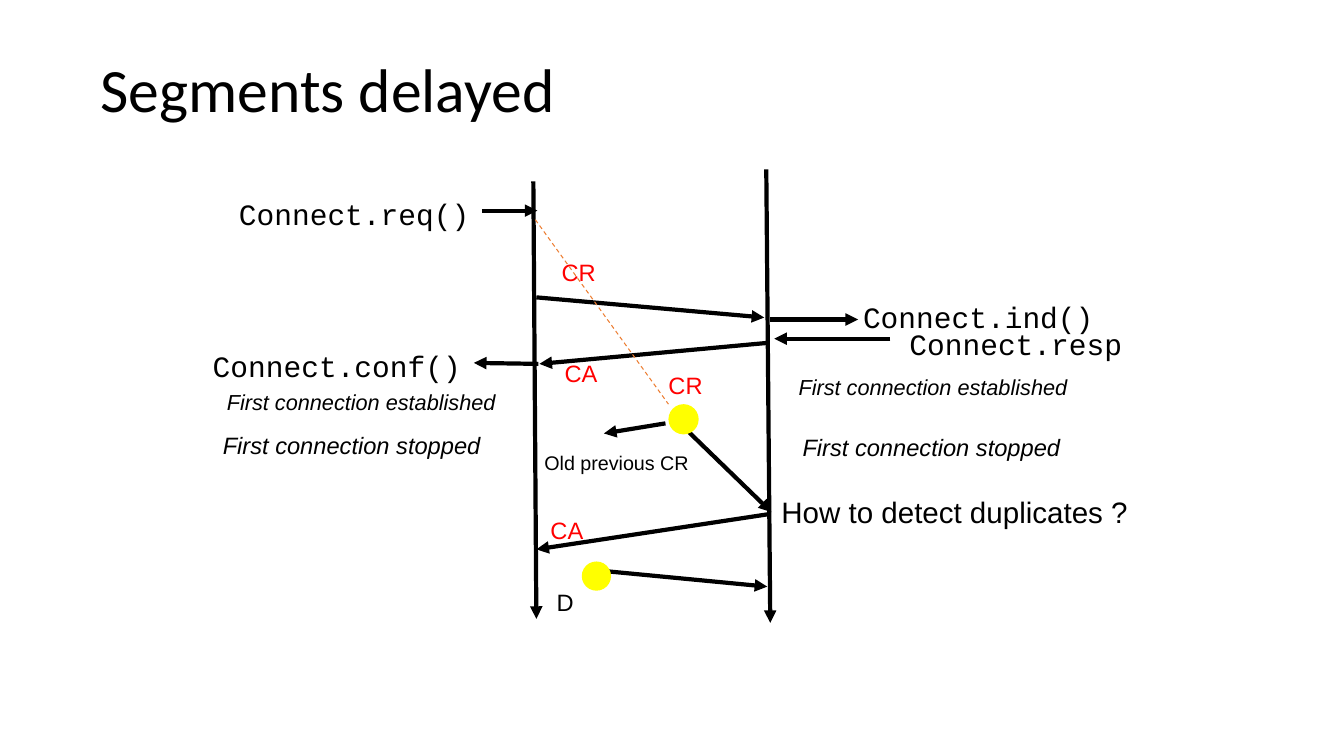
from pptx import Presentation
from pptx.dml.color import RGBColor
from pptx.enum.dml import MSO_LINE
from pptx.enum.shapes import MSO_CONNECTOR, MSO_SHAPE
from pptx.enum.text import MSO_ANCHOR
from pptx.oxml.ns import qn
from pptx.util import Inches, Pt
from lxml.etree import SubElement

BLACK = RGBColor(0x00, 0x00, 0x00)
RED = RGBColor(0xFF, 0x00, 0x00)
YELLOW = RGBColor(0xFF, 0xFF, 0x00)
ORANGE = RGBColor(0xED, 0x7D, 0x31)

# Grid of square cells: 133.3 columns by 75 rows
CELL = Inches(0.1)

deck = Presentation()
deck.slide_width, deck.slide_height = int(133.3 * CELL), 75 * CELL
page = deck.slides.add_slide(deck.slide_layouts[6])


def add_line(*ends, color=BLACK, width=3, arrow=True):
    line = page.shapes.add_connector(
        MSO_CONNECTOR.STRAIGHT, *(int(end * CELL) for end in ends))
    line.line.color.rgb = color
    line.line.width = Pt(width)
    properties = line._element.spPr
    if arrow:
        SubElement(properties.find(qn("a:ln")), qn("a:tailEnd"), type="triangle")
    SubElement(properties, qn("a:effectLst"))
    return line


def add_text(words, place, size, font="Arial", color=BLACK, italic=False,
             spacing=0.84, inset=0):
    box = page.shapes.add_textbox(*(int(length * CELL) for length in place))
    frame = box.text_frame
    frame.word_wrap = True
    frame.vertical_anchor = MSO_ANCHOR.MIDDLE
    frame.margin_left = frame.margin_right = int(inset * CELL)
    frame.margin_top = frame.margin_bottom = int(inset * CELL / 2)
    para = frame.paragraphs[0]
    para.text = words
    para.line_spacing = spacing
    para.font.name, para.font.size = font, Pt(size)
    para.font.color.rgb, para.font.italic = color, italic


# Title
add_text("Segments delayed", (9, 2.7, 71.4, 13.2), 44, font="Calibri", inset=1)

# Time lines, service primitives and segments: from x, y to x, y
for ends in [
    (52.9, 18, 53.2, 61.4),      # sender time line
    (76, 16.8, 76.4, 61.8),      # receiver time line
    (47.8, 20.9, 53.3, 20.9),    # Connect.req
    (53.2, 29.5, 75.8, 31.5),    # first CR
    (76.4, 31.7, 85.1, 31.7),    # Connect.ind
    (88.3, 33.6, 76.8, 33.6),    # Connect.resp
    (76.3, 34, 53.5, 36.1),      # first CA
    (53.4, 36.1, 47, 36),        # Connect.conf
    (66.6, 41.2, 76.5, 50.8),    # delayed CR
    (66, 42, 59.9, 43),          # pointer to the old CR
    (76.3, 51, 53.2, 54.5),      # second CA
    (59.4, 56.6, 76.1, 58.2),    # data
]:
    add_line(*ends)

# Delayed segments
for left, top, size in [(66.3, 40.1, 3), (57.7, 55.7, 2.9)]:
    dot = page.shapes.add_shape(
        MSO_SHAPE.OVAL, *(int(length * CELL) for length in (left, top, size, size)))
    dot.shadow.inherit = False
    dot.fill.solid()
    dot.fill.fore_color.rgb = YELLOW
    dot.line.fill.background()

# Service primitives
for words, left, top, width in [
    ("Connect.req()", 23.7, 19.9, 23),
    ("Connect.ind()", 85.6, 30.2, 23),
    ("Connect.resp", 90.2, 32.8, 21.4),
    ("Connect.conf()", 21.1, 35, 24.8),
]:
    add_text(words, (left, top, width, 3.1), 21.1, font="Courier New")

# Segment names
for words, left, top, color in [
    ("CR", 55.7, 26, RED),
    ("CA", 56, 36, RED),
    ("CR", 66.3, 37.2, RED),
    ("CA", 54.6, 51.6, RED),
    ("D", 55.2, 58.8, BLACK),
]:
    add_text(words, (left, top, 4.1, 2.4), 16.9, color=color)

# Connection states on both sides
for words, left, top, width, height, size in [
    ("First connection established", 22.5, 38.7, 26.9, 2.5, 15.5),
    ("First connection established", 79.2, 37.2, 26.9, 2.5, 15.5),
    ("First connection stopped", 22.1, 42.9, 25.7, 2.8, 16.9),
    ("First connection stopped", 79.6, 43.1, 25.7, 2.8, 16.9),
]:
    add_text(words, (left, top, width, height), size, italic=True, spacing=0.97)

# Remarks
add_text("Old previous CR", (54, 45.1, 14.5, 2), 14.1)
add_text("How to detect duplicates ?", (77.5, 49.5, 34.7, 3.1), 21.1)

# Path of the delayed CR
delay = add_line(53.1, 21.8, 66.3, 40.1, color=ORANGE, width=0.75, arrow=False)
delay.line.dash_style = MSO_LINE.DASH

deck.save("out.pptx")
